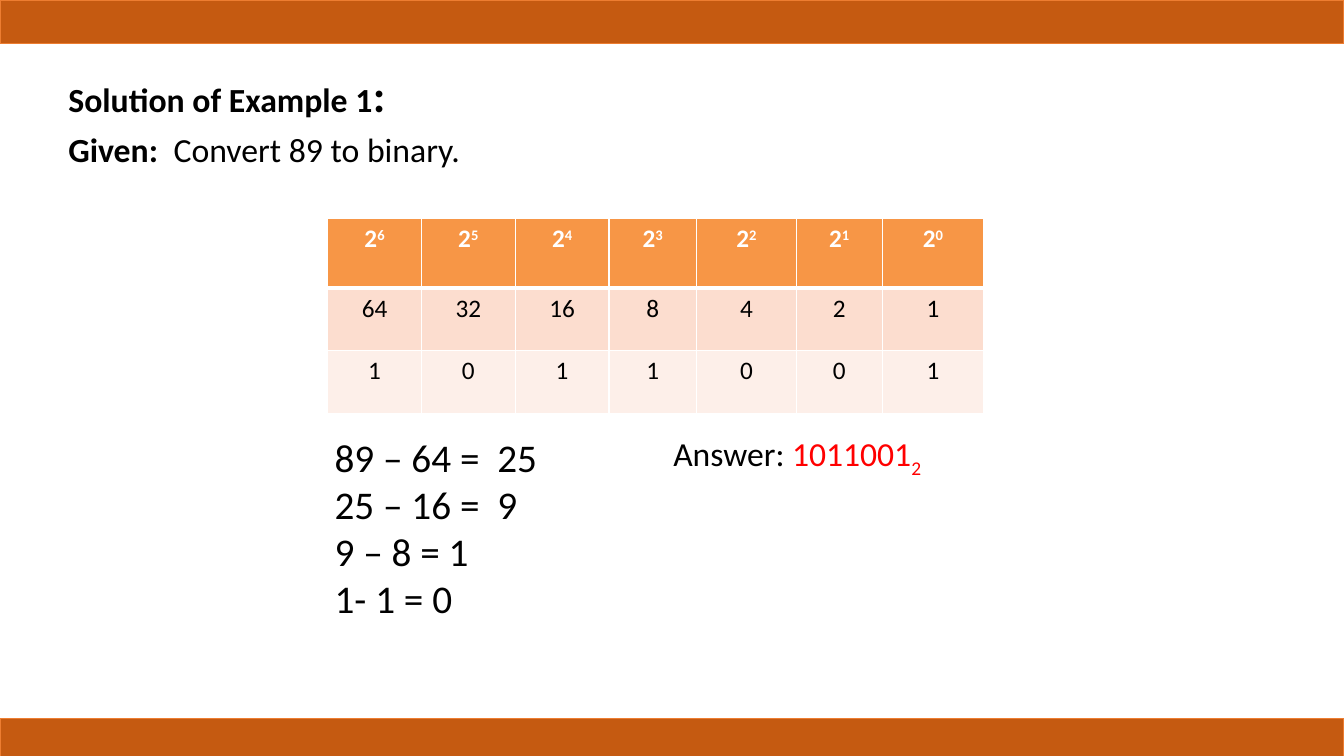
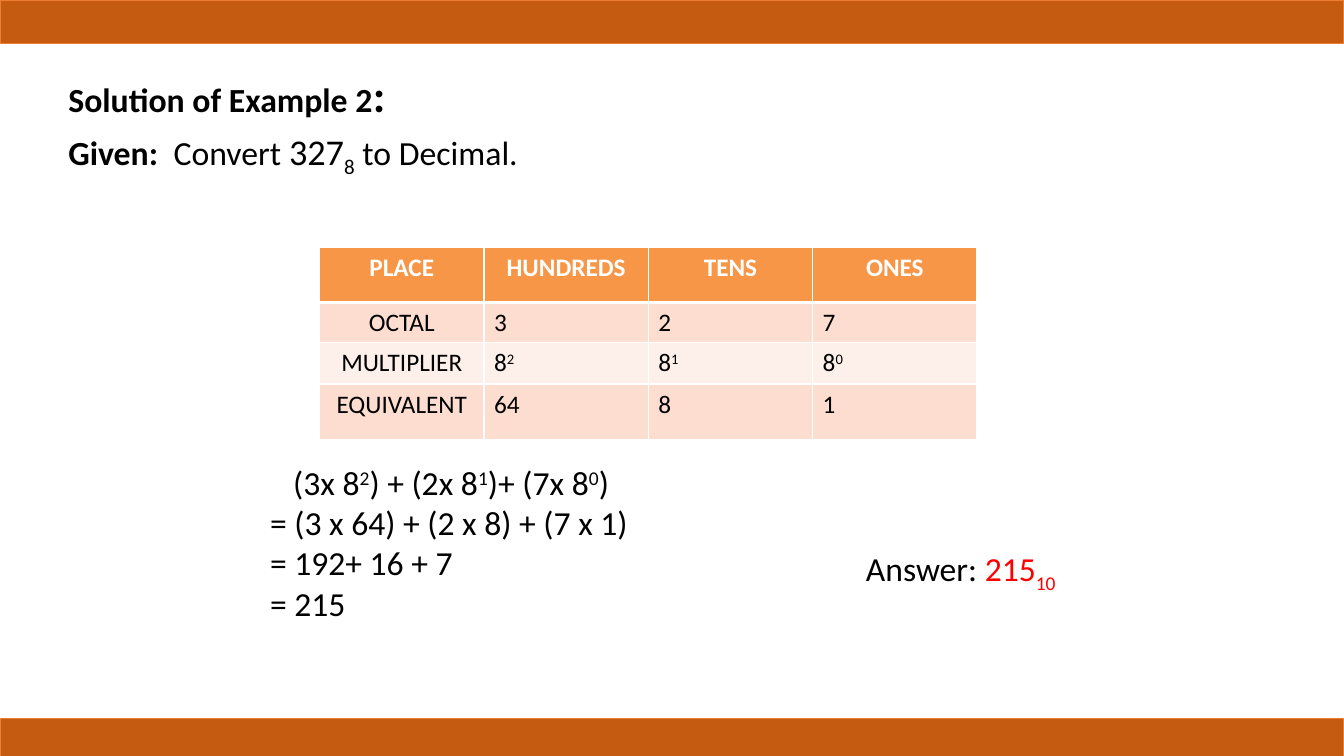
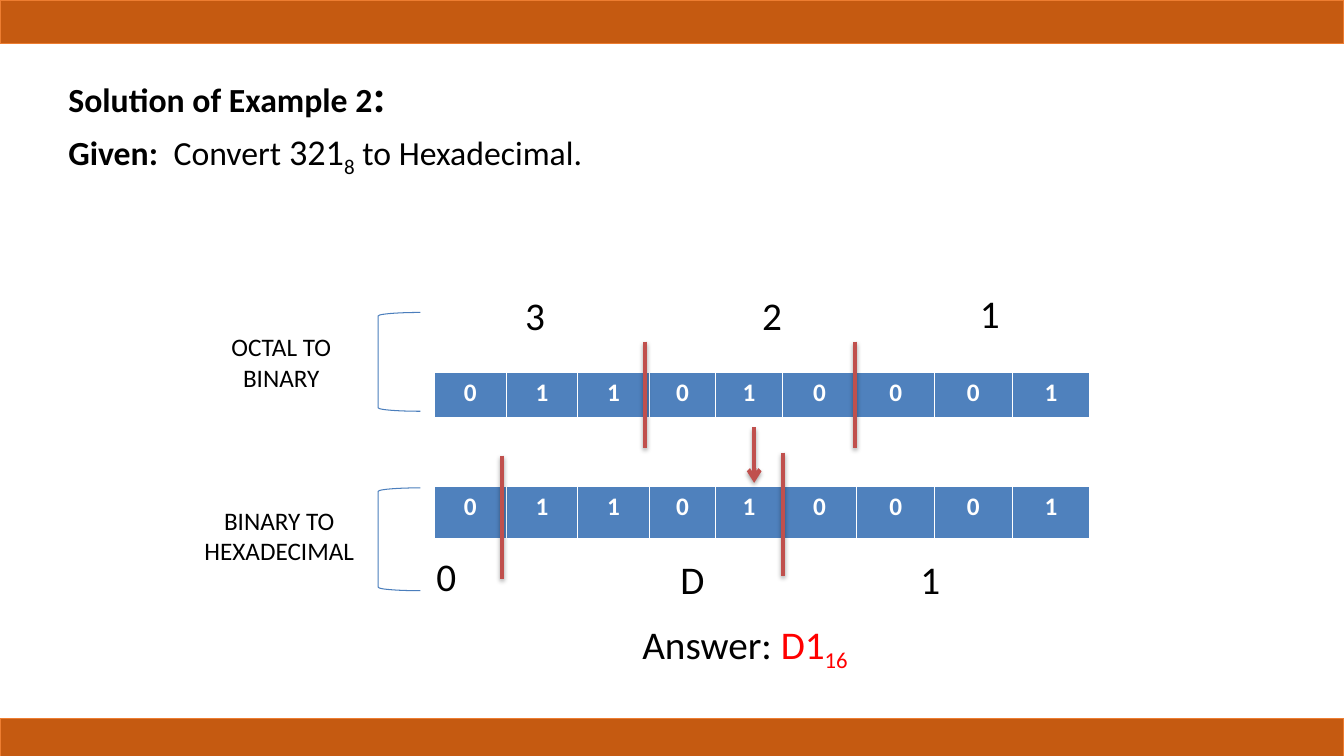
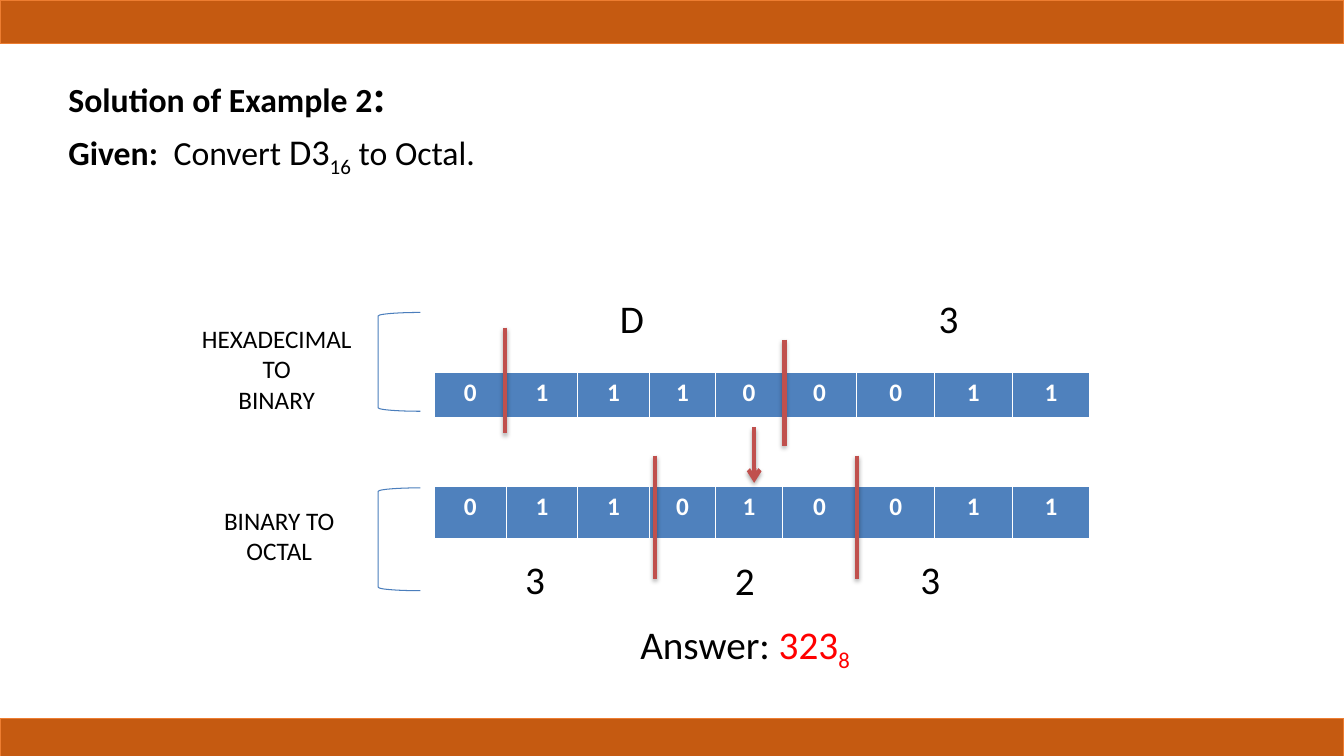
"""Build four slides of worked number base conversions."""
from lxml.etree import SubElement
from pptx import Presentation
from pptx.dml.color import RGBColor
from pptx.enum.shapes import MSO_CONNECTOR, MSO_SHAPE
from pptx.enum.text import PP_ALIGN
from pptx.oxml import parse_xml
from pptx.oxml.ns import nsdecls, qn
from pptx.util import Inches, Pt

BLACK, WHITE, RED = "000000", "FFFFFF", "FF0000"
BAND, EDGE = "C55A11", "ED7D31"
HEAD, DARK, PALE = "F79646", "FCDDCF", "FDEFE9"
BLUE, CURVE, MARK = "4F81BD", "4B7EBC", "C0504D"
LEFT, MID = PP_ALIGN.LEFT, PP_ALIGN.CENTER
hue = RGBColor.from_string


def add(para, text, size, ink=BLACK, bold=False, lift=0):
    """Add one run; lift raises or lowers it in percent."""
    run = para.add_run()
    run.text = text
    font = run.font
    font.name, font.size, font.bold = "Calibri", Pt(size), bold
    font.color.rgb = hue(ink)
    if lift:
        font._element.set("baseline", str(lift * 1000))


def box(slide, left, top, width, height, align=LEFT, lines=1):
    """Add a text box and return its paragraphs."""
    frame = slide.shapes.add_textbox(
        Inches(left), Inches(top), Inches(width), Inches(height)).text_frame
    frame.word_wrap = True
    for _ in range(lines - 1):
        frame.add_paragraph()
    for para in frame.paragraphs:
        para.alignment = align
    return frame.paragraphs


deck = Presentation()
deck.slide_width, deck.slide_height = Inches(13.33), Inches(7.5)

tasks = [
    (1, [("Convert 89 to binary.", 24.1, 0)]),
    (2, [("Convert ", 24.1, 0), ("327", 25.9, 0), ("8", 25.9, -25), (" to Decimal.", 24.1, 0)]),
    (2, [("Convert ", 24.1, 0), ("321", 25.9, 0), ("8", 25.9, -25), (" to Hexadecimal.", 24.1, 0)]),
    (2, [("Convert ", 24.1, 0), ("D3", 25.9, 0), ("16", 25.9, -25), (" to Octal.", 24.1, 0)]),
]
for number, runs in tasks:
    slide = deck.slides.add_slide(deck.slide_layouts[6])
    for top in (0, 7.13):
        band = slide.shapes.add_shape(
            MSO_SHAPE.RECTANGLE, 0, Inches(top), deck.slide_width, Inches(0.43))
        band.shadow.inherit = False
        band.fill.solid()
        band.fill.fore_color.rgb = hue(BAND)
        band.line.color.rgb = hue(EDGE)
        band.line.width = Pt(1)
    title, given = box(slide, 0.58, 0.62, 7.67, 0.98, lines=2)
    add(title, f"Solution of Example {number}", 24.1, bold=True)
    add(title, ":", 32.4, bold=True)
    given.space_before = Pt(5)
    add(given, "Given:  ", 24.1, bold=True)
    for text, size, lift in runs:
        add(given, text, size, lift=lift)
first, second, third, fourth = deck.slides

bits = [0.71] * 3 + [0.66] * 2 + [0.74] + [0.77] * 3
grids = [
    (first, 3.25, 2.17, [0.93, 0.93, 0.93, 0.87, 0.99, 0.85, 1.01], [0.69, 0.62, 0.62],
     [HEAD, DARK, PALE], MID,
     ["2^6 2^5 2^4 2^3 2^2 2^1 2^0", "64 32 16 8 4 2 1", "1 0 1 1 0 0 1"]),
    (second, 3.17, 2.45, [1.63] * 4, [0.55, 0.4, 0.41, 0.55],
     [HEAD, DARK, PALE, DARK], LEFT,
     ["PLACE HUNDREDS TENS ONES", "OCTAL 3 2 7", "MULTIPLIER 8^2 8^1 8^0", "EQUIVALENT 64 8 1"]),
    (third, 4.31, 3.69, bits, [0.47], [BLUE], MID, ["0 1 1 0 1 0 0 0 1"]),
    (third, 4.31, 4.83, bits, [0.53], [BLUE], MID, ["0 1 1 0 1 0 0 0 1"]),
    (fourth, 4.31, 3.69, bits, [0.47], [BLUE], MID, ["0 1 1 1 0 0 0 1 1"]),
    (fourth, 4.31, 4.83, bits, [0.53], [BLUE], MID, ["0 1 1 0 1 0 0 1 1"]),
]
for slide, left, top, widths, heights, fills, align, rows in grids:
    table = slide.shapes.add_table(
        len(rows), len(widths), Inches(left), Inches(top),
        Inches(sum(widths)), Inches(sum(heights))).table
    for col, width in zip(table.columns, widths):
        col.width = Inches(width)
    for r, row in enumerate(rows):
        table.rows[r].height = Inches(heights[r])
        for c, text in enumerate(row.split()):
            cell = table.cell(r, c)
            for side in ("lnL", "lnR", "lnT", "lnB"):
                thick = 3 if (r, side) in ((0, "lnB"), (1, "lnT")) else 1
                line = SubElement(cell._tc.get_or_add_tcPr(), qn("a:" + side), w=str(Pt(thick)))
                fill = SubElement(line, qn("a:solidFill"))
                SubElement(fill, qn("a:srgbClr"), val=WHITE)
            cell.fill.solid()
            cell.fill.fore_color.rgb = hue(fills[r])
            para = cell.text_frame.paragraphs[0]
            para.alignment = MID if r == 0 or c == 0 else align
            ink = BLACK if r else WHITE
            base, _, power = text.partition("^")
            add(para, base, 18, ink, r == 0)
            if power:
                add(para, power, 18, ink, r == 0, 30)

steps = ["89 – 64 =  25", "25 – 16 =  9", "9 – 8 = 1", "1- 1 = 0"]
for para, text in zip(box(first, 3.22, 4.25, 2.88, 2.29, lines=4), steps):
    add(para, text, 28)

sums = box(second, 2.58, 4.53, 5.42, 1.72, lines=4)
sums[0]._p.get_or_add_pPr().set("marL", str(Inches(0.23)))
for text, power in [("(3x 8", "2"), (") + (2x 8", "1"), (")+ (7x 8", "0")]:
    add(sums[0], text, 24)
    add(sums[0], power, 24, lift=30)
add(sums[0], ")", 24)
for para, text in zip(sums[1:], ["= (3 x 64) + (2 x 8) + (7 x 1)", "= 192+ 16 + 7", "= 215"]):
    add(para, text, 24)

results = [
    (first, 6.58, 4.25, 3.17, 24, LEFT, "1011001", "2"),
    (second, 8.49, 5.39, 2.42, 24, LEFT, "215", "10"),
    (third, 4.91, 6.1, 4.96, 28, MID, "D1", "16"),
    (fourth, 4.91, 6.1, 4.96, 28, MID, "323", "8"),
]
for slide, left, top, width, size, align, value, base in results:
    para = box(slide, left, top, width, 0.57, align)[0]
    add(para, "Answer: ", size)
    add(para, value, size, RED)
    add(para, base, size, RED, lift=-25)

charts = [
    (third,
     [(6.4, 3.39, 4.44), (8.48, 3.39, 4.44), (7.77, 4.49, 5.71), (4.98, 4.52, 5.74)],
     [("3", 5.11, 2.84), ("2", 7.46, 2.84), ("1", 9.62, 2.82),
      ("0", 4.23, 5.43), ("D", 6.65, 5.46), ("1", 9.03, 5.46)],
     [(2.08, 3.24, 1.42, ["OCTAL TO", "BINARY"]),
      (1.92, 4.96, 1.7, ["BINARY TO", "HEXADECIMAL"])]),
    (fourth,
     [(5.01, 3.25, 4.3), (7.78, 3.37, 4.42), (8.5, 4.52, 5.74), (6.5, 4.52, 5.74)],
     [("D", 6.05, 2.87), ("3", 9.21, 2.87),
      ("3", 5.11, 5.46), ("2", 7.19, 5.47), ("3", 9.03, 5.46)],
     [(1.83, 3.16, 1.83, ["HEXADECIMAL TO", "BINARY"]),
      (1.92, 4.96, 1.7, ["BINARY TO", "OCTAL"])]),
]
shade = (f'<a:effectLst {nsdecls("a")}><a:outerShdw blurRad="40000" dist="23000" dir="5400000" '
         'rotWithShape="0"><a:srgbClr val="000000"><a:alpha val="35000"/></a:srgbClr>'
         '</a:outerShdw></a:effectLst>')
arrow = (7.48, 4.24, 4.79)
for slide, cuts, digits, labels in charts:
    for cut in cuts + [arrow]:
        x, top, end = map(Inches, cut)
        link = slide.shapes.add_connector(MSO_CONNECTOR.STRAIGHT, x, top, x, end)
        link.line.color.rgb = hue(MARK)
        link.line.width = Pt(3)
        if cut == arrow:
            SubElement(link.line._get_or_add_ln(), qn("a:tailEnd"), type="arrow")
        link._element.spPr.append(parse_xml(shade))
    for text, left, top in digits:
        add(box(slide, left, top, 0.58, 0.57)[0], text, 28)
    for left, top, width, lines in labels:
        paras = box(slide, left, top, width, 0.71, MID, len(lines))
        for para, text in zip(paras, lines):
            add(para, text, 18)
    for top, height in [(3.1, 0.98), (4.84, 1.02)]:
        brace = slide.shapes.add_shape(
            MSO_SHAPE.LEFT_BRACKET, Inches(3.75), Inches(top), Inches(0.42), Inches(height))
        brace.shadow.inherit = False
        brace.fill.background()
        brace.line.color.rgb = hue(CURVE)
        brace.line.width = Pt(0.75)

deck.save("out.pptx")
